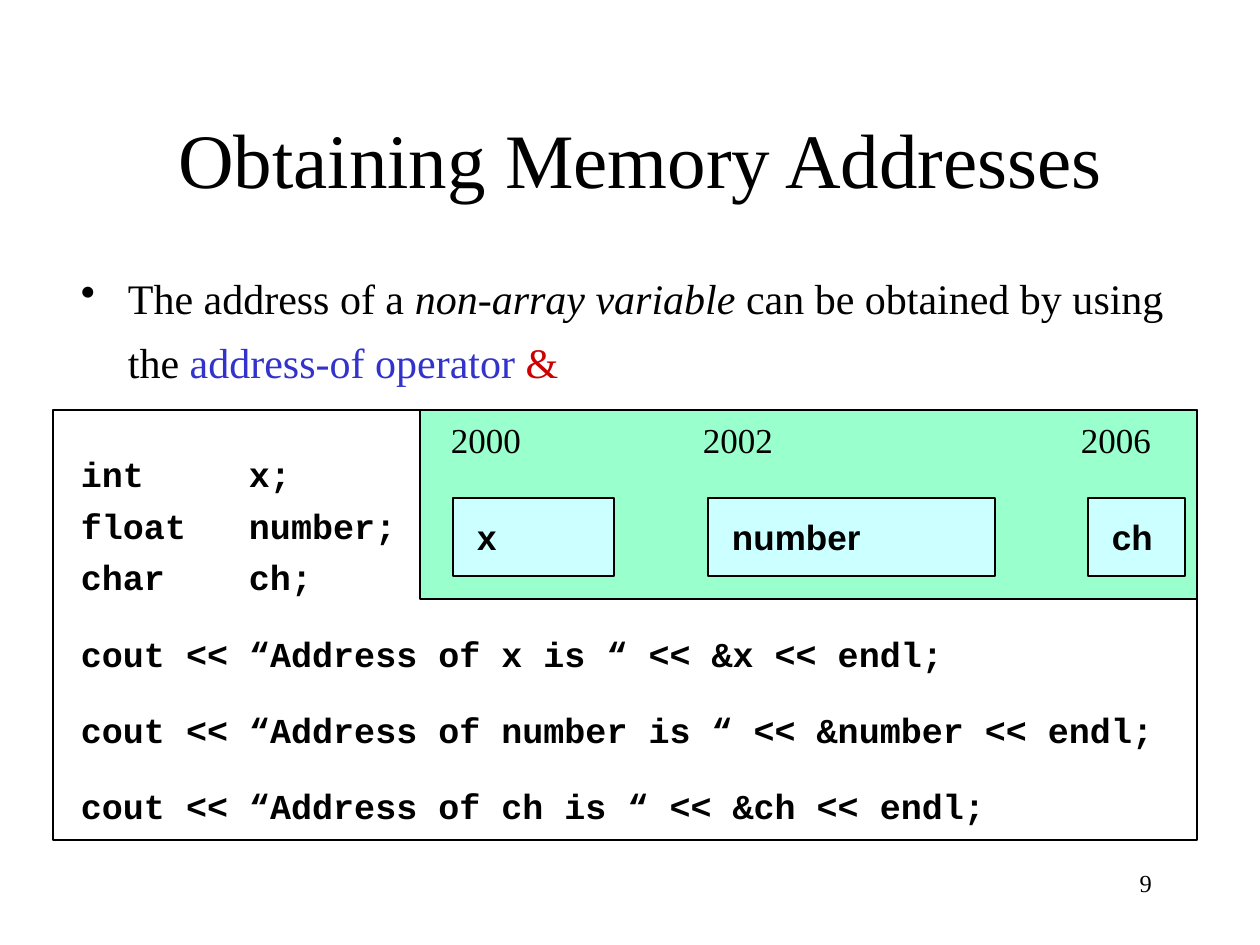
from lxml.etree import SubElement
from pptx import Presentation
from pptx.dml.color import RGBColor
from pptx.enum.shapes import MSO_SHAPE as Shape
from pptx.enum.text import MSO_ANCHOR as Anchor, PP_ALIGN as Align
from pptx.oxml.ns import qn
from pptx.util import Emu, Pt

SCALE = 914400 // 126
COLORS = {"text": "000000", "panel": "FFFFFF", "memory": "99FFCC",
          "cell": "CCFFFF", "term": "3333CC", "operator": "CC0000"}
SERIF, SANS, MONO = "Times New Roman", "Arial", "Courier New"
DECLARATIONS = ["int\tx;", "float\tnumber;", "char\tch;"]
OUTPUTS = [f"cout << “Address of {name} is “ << &{name} << endl;"
           for name in ("x", "number", "ch")]
VARIABLES = [("x", "2000", 33, 31, 161), ("number", "2002", 288, 283, 287),
             ("ch", "2006", 668, 661, 97)]


def px(length):
    """Turn pixels into EMU."""
    return Emu(length * SCALE)


def color(name):
    """Look up a named colour."""
    return RGBColor.from_string(COLORS[name])


def style(run, size, font=SERIF, bold=False, italic=False, tint="text"):
    """Format one run."""
    run.font.size, run.font.name = Pt(size), font
    run.font.bold, run.font.italic = bold, italic
    run.font.color.rgb = color(tint)


def set_frame(shape, anchor=Anchor.TOP, left=0, wrap=True):
    """Set the margins, anchor and wrapping of a text frame."""
    frame = shape.text_frame
    frame.margin_left = px(left)
    frame.margin_top = frame.margin_right = frame.margin_bottom = 0
    frame.vertical_anchor, frame.word_wrap = anchor, wrap
    return frame


def add_text(slide, box, text, size, align=Align.LEFT, anchor=Anchor.TOP):
    """Add one line of serif text."""
    frame = set_frame(slide.shapes.add_textbox(*map(px, box)), anchor)
    frame.text = text
    paragraph = frame.paragraphs[0]
    paragraph.alignment = align
    style(paragraph.runs[0], size)


def add_box(slide, box, fill, width=1):
    """Add an outlined rectangle."""
    shape = slide.shapes.add_shape(Shape.RECTANGLE, *map(px, box))
    shape.shadow.inherit = False
    shape.fill.solid()
    shape.fill.fore_color.rgb = color(fill)
    shape.line.color.rgb = color("text")
    shape.line.width = Pt(width)
    return shape


def add_bullet(slide, box):
    """Add the bulleted statement."""
    frame = set_frame(slide.shapes.add_textbox(*map(px, box)))
    paragraph = frame.paragraphs[0]
    paragraph.line_spacing = Pt(36.5)
    properties = paragraph._p.get_or_add_pPr()
    properties.set("marL", str(px(47)))
    properties.set("indent", str(px(-47)))
    SubElement(properties, qn("a:buChar"), char="•")
    for text, italic, tint in [
            ("The address of a ", False, "text"),
            ("non-array variable", True, "text"),
            (" can be obtained by using the ", False, "text"),
            ("address-of operator ", False, "term"),
            ("&", False, "operator")]:
        run = paragraph.add_run()
        run.text = text
        style(run, 24, italic=italic, tint=tint)


def add_code(slide, box):
    """Add the panel with the code listing."""
    left, top, width, height = box
    add_box(slide, box, "panel")
    listing = slide.shapes.add_textbox(
        *map(px, (left + 28, top + 43, width - 30, height - 50)))
    frame = set_frame(listing)
    frame.text = "\n".join(DECLARATIONS + OUTPUTS)
    for index, paragraph in enumerate(frame.paragraphs):
        declared = index < len(DECLARATIONS)
        paragraph.space_before = Pt(0 if index == 0 else 5.4 if declared else 19.5)
        style(paragraph.runs[0], 20, MONO, bold=True)
        if declared:
            tabs = SubElement(paragraph._p.get_or_add_pPr(), qn("a:tabLst"))
            SubElement(tabs, qn("a:tab"), pos=str(px(168)), algn="l")


def add_memory(slide, box):
    """Add the memory strip with its addresses and cells."""
    left, top, _, _ = box
    add_box(slide, box, "memory", 0.75)
    for name, address, cell_x, address_x, width in VARIABLES:
        add_text(slide, (left + address_x, top + 9, 90, 42), address, 20)
        cell = add_box(slide, (left + cell_x, top + 88, width, 78), "cell")
        frame = set_frame(cell, Anchor.MIDDLE, 24, False)
        frame.text = name
        frame.paragraphs[0].alignment = Align.LEFT
        style(frame.paragraphs[0].runs[0], 20, SANS, bold=True)


def build():
    """Build and save the slide."""
    presentation = Presentation()
    presentation.slide_width, presentation.slide_height = px(1260), px(945)
    slide = presentation.slides.add_slide(presentation.slide_layouts[6])
    add_text(slide, (105, 53, 1071, 151), "Obtaining Memory Addresses", 44,
             Align.CENTER, Anchor.BOTTOM)
    add_bullet(slide, (81, 259, 1096, 130))
    add_code(slide, (53, 410, 1144, 430))
    add_memory(slide, (420, 410, 777, 189))
    add_text(slide, (903, 868, 249, 40), "9", 14, Align.RIGHT)
    presentation.save("out.pptx")


build()
